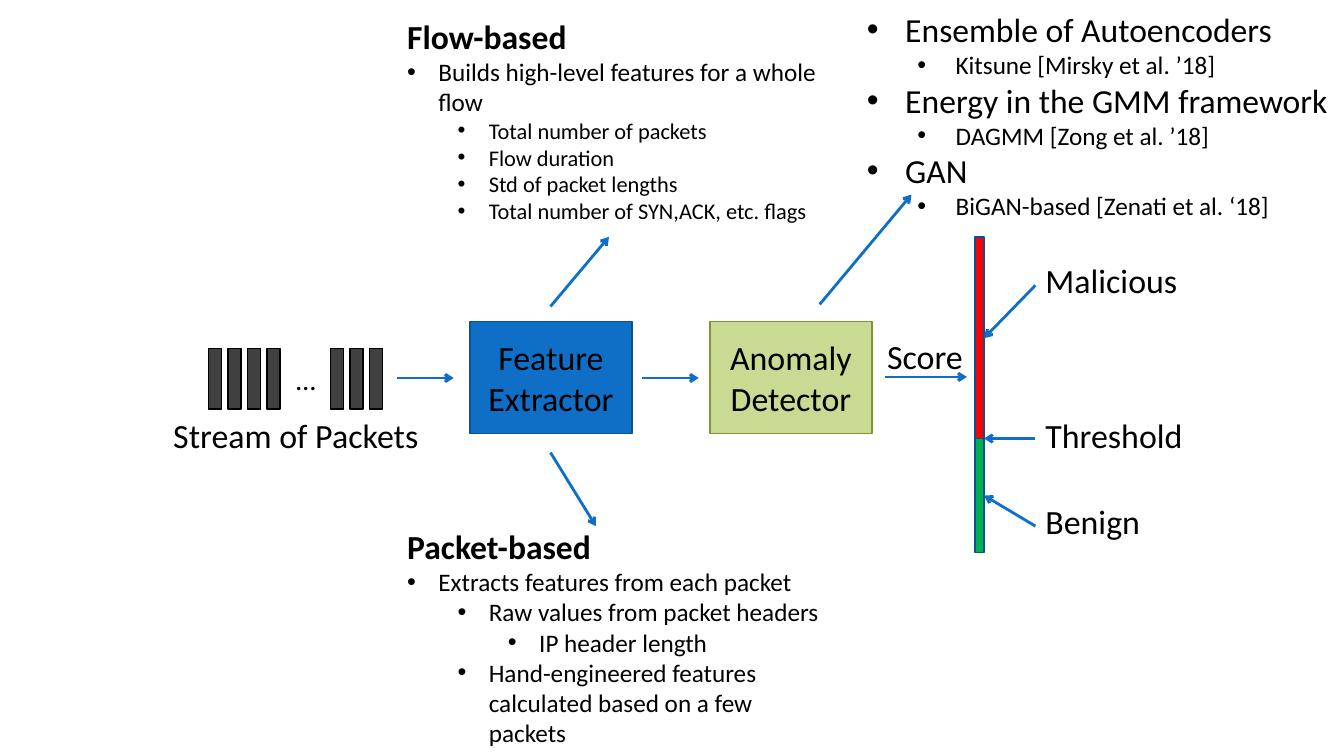
from pptx import Presentation
from pptx.dml.color import RGBColor
from pptx.enum.shapes import MSO_CONNECTOR as CONN, MSO_SHAPE as SHAPE
from pptx.enum.text import MSO_ANCHOR as ANCHOR, MSO_AUTO_SIZE as AUTO, PP_ALIGN as ALIGN
from pptx.oxml.ns import qn
from pptx.util import Inches, Pt
from lxml.etree import SubElement

COLORS = {
    "ink": "000000", "white": "FFFFFF", "packet": "404040",
    "blue": "0F6FC6", "navy": "0B5292", "lime": "C9DA92", "olive": "7E9632",
    "red": "FF0000", "green": "00B050",
}
CELL = Inches(0.1)
LABEL = 24.2
LEFT, RIGHT = 1, 3

FLOW = [
    ("Flow-based", None, 24),
    ("Builds high-level features for a whole flow", 0, 18),
    ("Total number of packets", 1, 16),
    ("Flow duration", 1, 16),
    ("Std of packet lengths", 1, 16),
    ("Total number of SYN,ACK, etc. flags", 1, 16),
]
PACKET = [
    ("Packet-based", None, 24),
    ("Extracts features from each packet", 0, 18),
    ("Raw values from packet headers", 1, 18),
    ("IP header length", 2, 18),
    ("Hand-engineered features calculated based on a few packets", 1, 18),
]
DETECTORS = [
    ("Ensemble of Autoencoders", 0, 24),
    ("Kitsune [Mirsky et al. ’18]", 1, 18),
    ("Energy in the GMM framework", 0, 24),
    ("DAGMM [Zong et al. ’18]", 1, 18),
    ("GAN", 0, 24),
    ("BiGAN-based [Zenati et al. ‘18]", 1, 18),
]


def cells(*values):
    return [round(v * CELL) for v in values]


def rgb(name):
    return RGBColor.from_string(COLORS[name])


def apply(obj, **formats):
    for name, value in formats.items():
        setattr(obj, name, value)


def add_run(p, text, size, bold=False):
    r = p.add_run()
    r.text = text
    apply(r.font, name="Calibri", size=Pt(size), bold=bold)
    r.font.color.rgb = rgb("ink")


def rect(s, at, fill, line, width=1):
    sp = s.shapes.add_shape(SHAPE.RECTANGLE, *cells(*at))
    sp.shadow.inherit = False
    sp.fill.solid()
    sp.fill.fore_color.rgb = rgb(fill)
    sp.line.color.rgb = rgb(line)
    sp.line.width = Pt(width)
    return sp


def stage(s, col, text, fill, line):
    tf = rect(s, (col, 31.9, 16.1, 11.1), fill, line).text_frame
    apply(tf, word_wrap=True, vertical_anchor=ANCHOR.MIDDLE)
    p = tf.paragraphs[0]
    p.alignment = ALIGN.CENTER
    add_run(p, text, LABEL)


def label(s, col, row, width, text):
    tf = s.shapes.add_textbox(*cells(col, row, width, 5.1)).text_frame
    apply(tf, word_wrap=False, auto_size=AUTO.SHAPE_TO_FIT_TEXT)
    add_run(tf.paragraphs[0], text, LABEL)


def bullet(p, level, hang):
    p.level = level
    pPr = p._p.get_or_add_pPr()
    pPr.set("marL", str(Inches(hang + 0.5 * level)))
    pPr.set("indent", str(-Inches(hang)))
    SubElement(pPr, qn("a:buFont")).set("typeface", "Arial")
    SubElement(pPr, qn("a:buChar")).set("char", "•")


def outline(s, at, items, hang):
    tf = s.shapes.add_textbox(*cells(*at)).text_frame
    apply(tf, word_wrap=True, auto_size=AUTO.SHAPE_TO_FIT_TEXT)
    for i, (text, level, size) in enumerate(items):
        p = tf.add_paragraph() if i else tf.paragraphs[0]
        if level is not None:
            bullet(p, level, hang)
        add_run(p, text, size, bold=level is None)


def arrow(s, start, end, target=None, side=RIGHT):
    cx = s.shapes.add_connector(CONN.STRAIGHT, *cells(*start, *end))
    if target is not None:
        cx.end_connect(target, side)
    cx.line.color.rgb = rgb("blue")
    cx.line.width = Pt(2)
    SubElement(cx.line._get_or_add_ln(), qn("a:tailEnd")).set("type", "arrow")
    SubElement(cx._element.spPr, qn("a:effectLst"))


def packets(s):
    for first, count in ((20.7, 4), (32.8, 3)):
        for i in range(count):
            rect(s, (first + 1.93 * i, 34.6, 1.3, 6), "packet", "ink")
    tf = rect(s, (28.4, 35.4, 4, 4.4), "white", "white", 0.75).text_frame
    apply(tf, word_wrap=False, vertical_anchor=ANCHOR.TOP)
    p = tf.paragraphs[0]
    p.alignment = ALIGN.LEFT
    add_run(p, "…", 20.2)
    label(s, 16.2, 40.6, 26.6, "Stream of Packets")


def score_scale(s):
    malicious = rect(s, (96.7, 23.5, 0.9, 20.1), "red", "navy")
    benign = rect(s, (96.7, 43.5, 0.9, 11.3), "green", "navy")
    for text, row, width, start, end, target in (
        ("Malicious", 25.3, 15.3, 28.3, 33.5, malicious),
        ("Threshold", 40.6, 15.8, 43.5, 43.5, None),
        ("Benign", 49.2, 11.5, 52.2, 49.2, benign),
    ):
        label(s, 102.7, row, width, text)
        arrow(s, (102.7, start), (97.6, end), target)


def main():
    """Build the packet anomaly detection pipeline slide."""
    prs = Presentation()
    apply(prs, slide_width=Inches(13.33), slide_height=Inches(7.5))
    s = prs.slides.add_slide(prs.slide_layouts[6])
    label(s, 87, 32.8, 9.6, "Score")
    packets(s)
    stage(s, 46.6, "Feature Extractor", "blue", "navy")
    stage(s, 70.4, "Anomaly Detector", "lime", "olive")
    score_scale(s)
    outline(s, (39.4, 1.1, 44.4, 24.9), FLOW, 0.31)
    outline(s, (39.4, 51.7, 44.4, 23.2), PACKET, 0.31)
    outline(s, (85, 0.4, 49.5, 22.2), DETECTORS, 0.38)
    for start, end in (
        ((39.4, 37.5), (45, 37.5)),
        ((63.7, 37.5), (69.3, 37.5)),
        ((87.8, 37.4), (95.9, 37.4)),
        ((54.6, 30.4), (60.4, 23.5)),
        ((54.6, 44.9), (59.1, 52.2)),
        ((81.3, 30.2), (90.4, 19.3)),
    ):
        arrow(s, start, end)
    prs.save("out.pptx")


if __name__ == "__main__":
    main()
